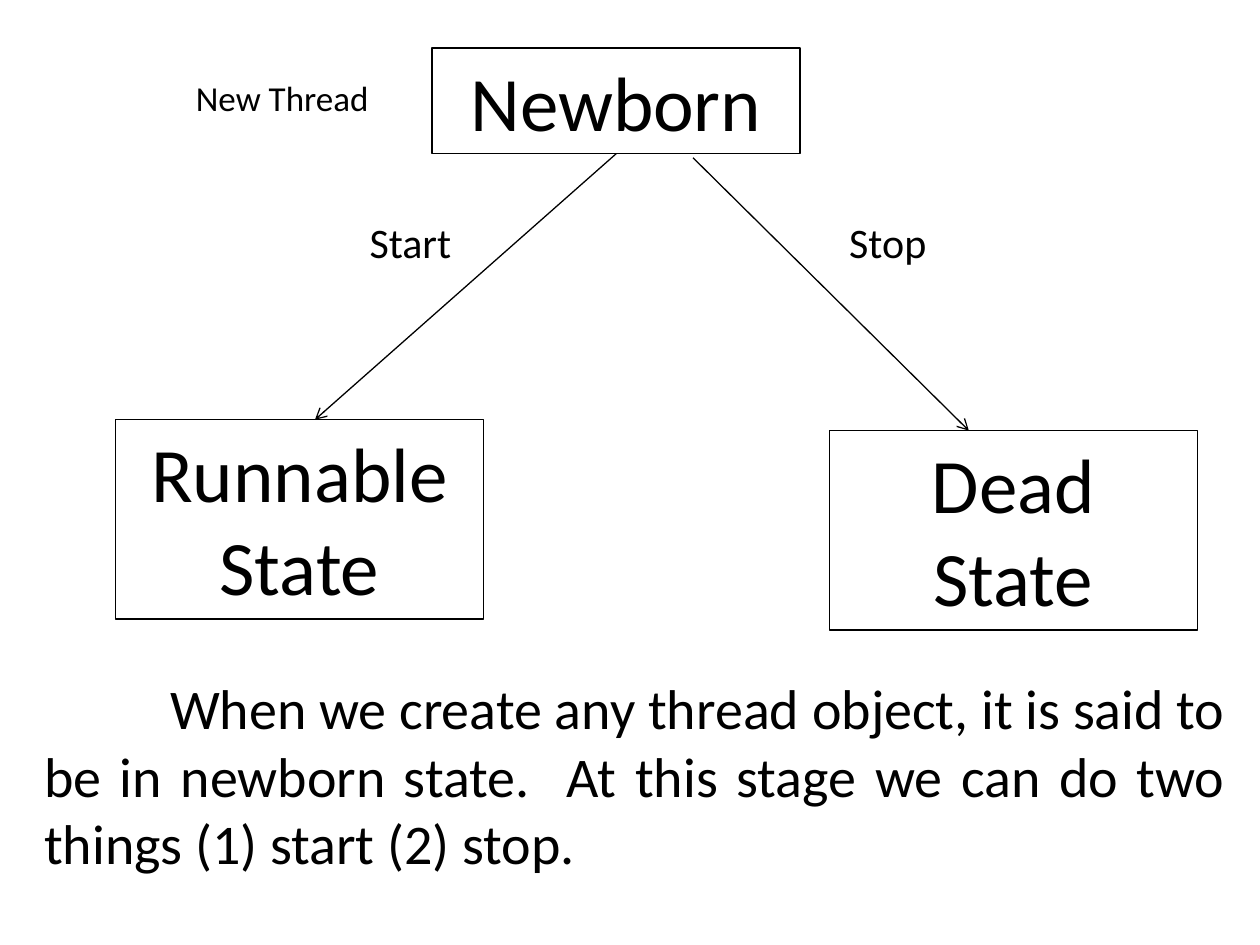
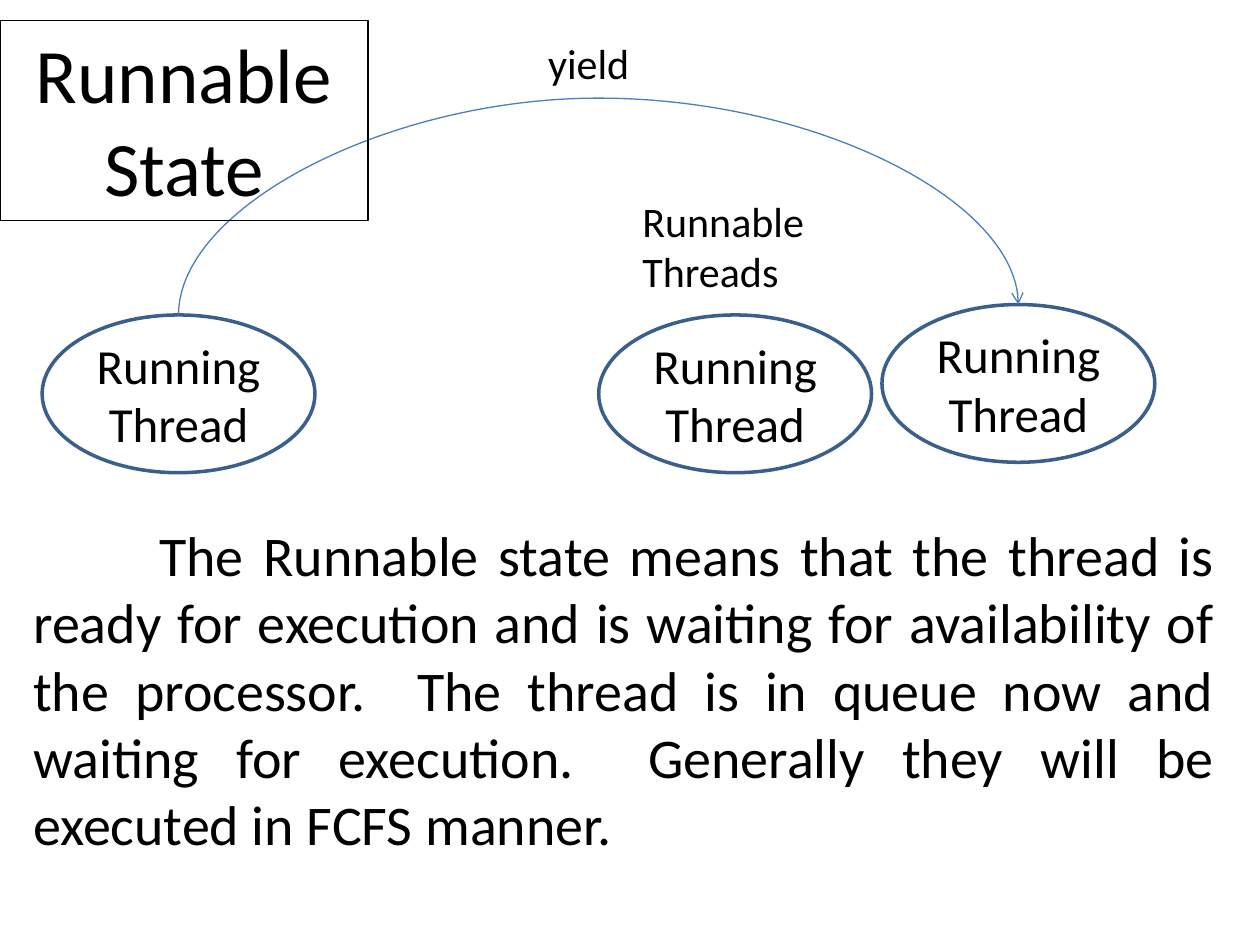
from pptx import Presentation
from pptx.dml.color import RGBColor
from pptx.enum.shapes import MSO_CONNECTOR as CONN, MSO_SHAPE as SHAPE
from pptx.enum.text import MSO_ANCHOR as ANCHOR, PP_ALIGN as ALIGN
from pptx.oxml.ns import qn
from pptx.util import Cm, Pt
from lxml import etree

BLACK, NAVY, BLUE = "000000", "3A5F8C", "4B7EBC"
rgb = RGBColor.from_string


def add_text(s, lines, x, y, w, h, size, align=ALIGN.LEFT, kind=None, line=BLACK, weight=0.75):
    at = Cm(x), Cm(y), Cm(w), Cm(h)
    if kind is None:
        sp = s.shapes.add_textbox(*at)
    else:
        sp = s.shapes.add_shape(kind, *at)
        sp.shadow.inherit = False
        sp.fill.background()
        sp.line.color.rgb = rgb(line)
        sp.line.width = Pt(weight)
    tf = sp.text_frame
    tf.word_wrap = True
    tf.vertical_anchor = ANCHOR.MIDDLE if kind == SHAPE.OVAL else ANCHOR.TOP
    for i, text in enumerate(lines):
        p = tf.add_paragraph() if i else tf.paragraphs[0]
        p.alignment = align
        if align == ALIGN.JUSTIFY:
            p._p.get_or_add_pPr().set("indent", str(Cm(2.54)))
        r = p.add_run()
        r.text = text
        r.font.name = "Calibri"
        r.font.size = Pt(size)
        r.font.color.rgb = rgb(BLACK)
    return sp


def add_arrow(s, kind, x1, y1, x2, y2, color):
    cx = s.shapes.add_connector(kind, Cm(x1), Cm(y1), Cm(x2), Cm(y2))
    cx.line.color.rgb = rgb(color)
    cx.line.width = Pt(0.75)
    etree.SubElement(cx.line._get_or_add_ln(), qn("a:tailEnd"), type="arrow")
    etree.SubElement(cx._element.spPr, qn("a:effectLst"))
    return cx


prs = Presentation()
prs.slide_width, prs.slide_height = Cm(25.4), Cm(19.05)
blank = prs.slide_layouts[6]
BOX_W, BOX_H, BODY_W = 7.42, 4.02, 24.33

s = prs.slides.add_slide(blank)
newborn = add_text(s, ["Newborn"], 8.71, 0.97, BOX_W, 2.13, 44, ALIGN.CENTER, SHAPE.RECTANGLE)
start = add_arrow(s, CONN.STRAIGHT, 12.42, 3.1, 6.35, 8.46, BLACK)
start.begin_connect(newborn, 2)
add_arrow(s, CONN.STRAIGHT, 13.97, 3.18, 19.53, 8.68, BLACK)
for lines, x, y in ((["Runnable State"], 2.33, 8.46), (["Dead", "State"], 16.72, 8.68)):
    add_text(s, lines, x, y, BOX_W, BOX_H, 44, ALIGN.CENTER, SHAPE.RECTANGLE)
for label, x in (("Start", 7.2), ("Stop", 16.87)):
    add_text(s, [label], x, 4.23, 2.38, 1.28, 24)
add_text(s, ["New Thread"], 3.7, 1.42, 4.37, 1.11, 20)
add_text(s, ["When we create any thread object, it is said to be in newborn state.  "
             "At this stage we can do two things (1) start (2) stop."],
         0.64, 13.46, BODY_W, 4.37, 32, ALIGN.JUSTIFY)

s = prs.slides.add_slide(blank)
OVAL_W, OVAL_H = 5.5, 3.18
threads = [add_text(s, ["Running Thread"], x, y, OVAL_W, OVAL_H, 28, ALIGN.CENTER,
                    SHAPE.OVAL, NAVY, 2)
           for x, y in ((0.85, 6.35), (12.07, 6.35), (17.78, 6.14))]

x1, y1, x2, y2, peak = 3.6, 6.35, 20.53, 6.14, 1.98
curve = add_arrow(s, CONN.CURVE, x1, y1, x2, y2, BLUE)
curve.begin_connect(threads[0], 0)
curve.end_connect(threads[2], 0)
span, rise = x2 - x1, y1 - y2
curve.left, curve.top = Cm((x1 + x2 - rise) / 2), Cm((y1 + y2 - span) / 2)
curve.width, curve.height = Cm(rise), Cm(span)
xfrm = curve._element.spPr.find(qn("a:xfrm"))
for key, value in (("rot", "5400000"), ("flipH", "1"), ("flipV", "1")):
    xfrm.set(key, value)
guides = curve._element.spPr.find(qn("a:prstGeom")).get_or_add_avLst()
bend = round((y1 - peak) / rise * 100000)
etree.SubElement(guides, qn("a:gd"), name="adj1", fmla=f"val {bend}")

add_text(s, ["yield"], 10.8, 0.64, 2.38, 1.28, 24)
add_text(s, ["Runnable Threads"], 12.7, 3.81, 3.81, 2.31, 24)
add_text(s, ["The Runnable state means that the thread is ready for execution and is waiting "
             "for availability of the processor.  The thread is in queue now and waiting for "
             "execution.  Generally they will be executed in FCFS manner."],
         0.42, 10.37, BODY_W, 7.09, 32, ALIGN.JUSTIFY)
add_text(s, ["Runnable State"], 0, 0.42, BOX_W, BOX_H, 44, ALIGN.CENTER, SHAPE.RECTANGLE)

prs.save("out.pptx")
